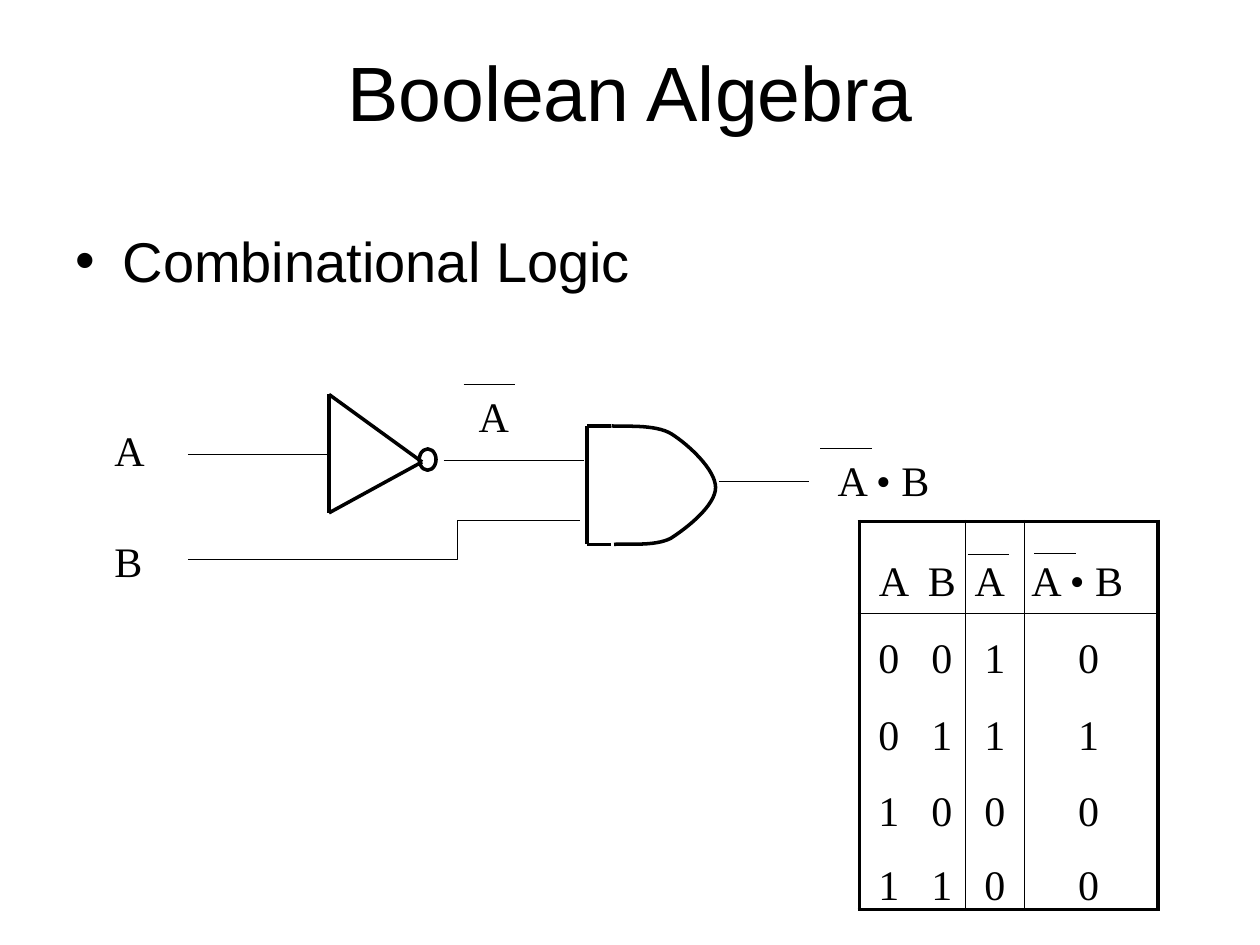
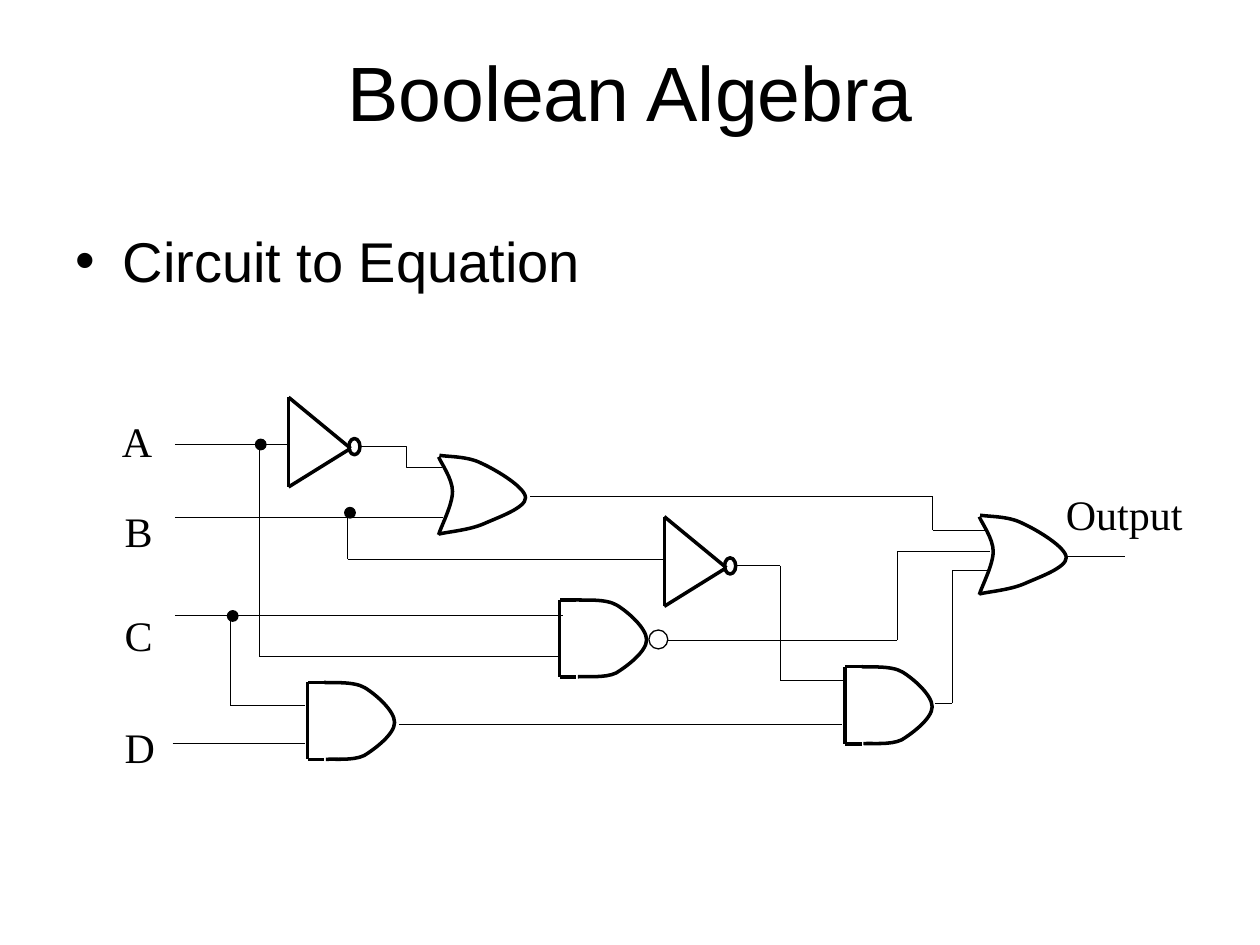
from lxml.etree import SubElement
from pptx import Presentation
from pptx.dml.color import RGBColor
from pptx.enum.shapes import MSO_CONNECTOR, MSO_SHAPE
from pptx.enum.text import MSO_ANCHOR, MSO_AUTO_SIZE, PP_ALIGN
from pptx.oxml.ns import qn
from pptx.util import Pt

BLACK = RGBColor(0, 0, 0)
HEADING_FONT = "Arial"
LABEL_FONT = "Times New Roman"
THIN, THICK = 0.75, 2

# Gate outlines in a unit square: straight edges and chains of cubic curves
GATE_EDGES = {
    "not": [(0, 1), (0, 0), (1, 0.57), (0, 1)],
    "and": [(0.19, 0), (0, 0), (0, 1), (0.19, 1)],
    "or": [],
}
GATE_CURVES = {
    "not": [],
    "and": [[(0.19, 0), (0.27, 0.01), (0.53, -0.02), (0.66, 0.07),
             (0.79, 0.16), (1, 0.37), (1, 0.52),
             (1, 0.67), (0.78, 0.86), (0.65, 0.95),
             (0.52, 1.02), (0.3, 0.99), (0.21, 1)]],
    "or": [[(0, 0.02), (0.03, 0.1), (0.16, 0.3), (0.16, 0.46),
            (0.16, 0.63), (0.03, 0.9), (0, 1.01)],
           [(0.01, 0), (0.1, 0.02), (0.33, 0.01), (0.49, 0.1),
            (0.67, 0.19), (1, 0.41), (1, 0.54),
            (1, 0.67), (0.68, 0.79), (0.52, 0.87),
            (0.35, 0.95), (0.12, 0.97), (0, 1)]],
}

# Each circuit in points: gates (kind, left, top, width, height),
# wires and one bent wire (corner points), circles (left, top, size, filled),
# labels (text, left, top, width)
CIRCUITS = [
    {
        "topic": "Combinational Logic",
        "gates": [("not", 188, 225.4, 53.2, 67.7),
                  ("and", 335.5, 243.4, 73.4, 67.7)],
        "bent_wire": [(107.3, 319.6), (261.4, 319.6),
                      (261.4, 297.4), (331.2, 297.4)],
        "wires": [
            [(107.3, 259.8), (187.2, 259.8)],
            [(253.5, 263.3), (334, 263.3)],
            [(411, 275), (462.2, 275)],
            # Overlines of the negated A
            [(265, 219.6), (294.5, 219.6)],
            [(468.7, 256.3), (498.2, 256.3)],
            [(553, 316.8), (576.7, 316.8)],
            [(591, 316.2), (615, 316.2)],
        ],
        "circles": [],
        "labels": [("A", 58.3, 239, 45), ("B", 58.3, 302.4, 45),
                   ("A", 266.4, 219.6, 58), ("A • B", 471.6, 256.3, 92)],
    },
    {
        "topic": "Circuit to Equation",
        "gates": [("not", 164.9, 227, 35.5, 51.3),
                  ("not", 379.6, 295.2, 35.5, 51.3),
                  ("or", 250.6, 260.2, 49.7, 45),
                  ("or", 559.6, 294.4, 49.7, 45),
                  ("and", 175.8, 390, 49.7, 44),
                  ("and", 319.8, 342.8, 49.7, 44),
                  ("and", 483, 381, 49.7, 44)],
        "bent_wire": [(206, 255), (232.4, 255), (232.4, 267), (252.7, 267)],
        "wires": [
            # Inputs A to D
            [(100, 254), (164.2, 254)],
            [(100, 295.8), (253.4, 295.8)],
            [(100, 351.8), (321.8, 351.8)],
            [(98.7, 424.8), (174.2, 424.8)],
            # Branches from A, B and C
            [(148.2, 254), (148.2, 375.2), (319.7, 375.2)],
            [(198.6, 295.8), (198.6, 319.6), (380, 319.6)],
            [(131.9, 351.8), (131.9, 403.2), (174.2, 403.2)],
            # Between the gates
            [(303, 283.7), (533, 283.7), (533, 303), (563.8, 303)],
            [(421.2, 323.2), (446, 323.2), (446, 389), (482, 389)],
            [(228, 414), (481, 414)],
            [(381, 366), (512.8, 366), (512.8, 315.3), (566, 315.3)],
            [(534.2, 402), (544.2, 402), (544.2, 326.2), (565.2, 326.2)],
            # Output
            [(609.8, 318), (643, 318)],
        ],
        "circles": [(197, 290, 6, True), (130, 349, 6, True),
                    (146, 251, 6, True), (370.8, 360, 10.8, False)],
        "labels": [("A", 62.6, 234, 45), ("B", 64.2, 285.1, 45),
                   ("C", 64.2, 345, 45), ("D", 64.2, 409, 45),
                   ("Output", 602, 275.8, 104)],
    },
]

TRUTH_TABLE = [["A", "B", "A", "A • B"],
               ["0", "0", "1", "0"],
               ["0", "1", "1", "1"],
               ["1", "0", "0", "0"],
               ["1", "1", "0", "0"]]
COLUMN_WIDTHS = [33.8, 26.9, 33.8, 76.3]
ROW_HEIGHTS = [52.5, 39.5, 43.8, 43.8, 42.4]
# Left and right cell margins that set the text off centre
HEADER_MARGINS = [(6, 0), (0, 0), (0, 6), (0, 16)]
VALUE_MARGINS = [(0, 0), (0, 0), (0, 0), (0, 3)]


def style_line(shape, width):
    shape.line.color.rgb = BLACK
    shape.line.width = Pt(width)
    if hasattr(shape, "shadow"):
        shape.shadow.inherit = False
    else:
        SubElement(shape._element.spPr, qn("a:effectLst"))


def add_run(paragraph, text, font_name, size):
    run = paragraph.add_run()
    run.text = text
    run.font.name = font_name
    run.font.size = Pt(size)
    run.font.color.rgb = BLACK


presentation = Presentation()
presentation.slide_width = Pt(720)
presentation.slide_height = Pt(540)
title_only = presentation.slide_layouts[5]

for circuit in CIRCUITS:
    slide = presentation.slides.add_slide(title_only)
    shapes = slide.shapes

    # Title
    title = shapes.title
    title.left, title.top, title.width, title.height = Pt(36), Pt(21.6), Pt(648), Pt(74)
    title.text_frame.vertical_anchor = MSO_ANCHOR.MIDDLE
    title.text_frame.margin_bottom = Pt(17)
    paragraph = title.text_frame.paragraphs[0]
    paragraph.alignment = PP_ALIGN.CENTER
    add_run(paragraph, "Boolean Algebra", HEADING_FONT, 44)

    # Bulleted topic
    topic = shapes.add_textbox(Pt(36), Pt(126), Pt(648), Pt(356.4))
    topic.text_frame.word_wrap = True
    paragraph = topic.text_frame.paragraphs[0]
    properties = paragraph._p.get_or_add_pPr()
    properties.set("marL", str(Pt(27)))
    properties.set("indent", str(Pt(-27)))
    SubElement(properties, qn("a:buFont"), typeface=HEADING_FONT)
    SubElement(properties, qn("a:buChar"), char="•")
    add_run(paragraph, circuit["topic"], HEADING_FONT, 32)

    # Outlines are collected as (points, width, curved), lines as (corners, width)
    outlines = [(circuit["bent_wire"], THIN, False)]
    lines = [(corners, THIN) for corners in circuit["wires"]]
    circles = [(left, top, size, size, THIN, filled)
               for left, top, size, filled in circuit["circles"]]
    for kind, left, top, width, height in circuit["gates"]:
        lines.append(([(left + x * width, top + y * height)
                       for x, y in GATE_EDGES[kind]], THICK))
        for chain in GATE_CURVES[kind]:
            outlines.append(([(left + x * width, top + y * height)
                              for x, y in chain], THICK, True))
        if kind == "not":
            circles.append((left + 0.97 * width, top + 0.46 * height,
                            0.18 * width, 0.18 * height, THICK, False))

    # Curved gate sides and the bent wire
    for points, width, curved in outlines:
        points = [(Pt(x), Pt(y)) for x, y in points]
        builder = shapes.build_freeform(*points[0], scale=1.0)
        builder.add_line_segments(points[1:], close=False)
        outline = builder.convert_to_shape()
        outline.fill.background()
        style_line(outline, width)
        if curved:
            drawing = outline._element.find(".//" + qn("a:path"))
            segments = drawing.findall(qn("a:lnTo"))
            for first in range(0, len(segments), 3):
                cubic = SubElement(drawing, qn("a:cubicBezTo"))
                for segment in segments[first:first + 3]:
                    cubic.append(segment[0])
                    drawing.remove(segment)

    # Straight gate sides and wires
    for corners, width in lines:
        for (x1, y1), (x2, y2) in zip(corners, corners[1:]):
            line = shapes.add_connector(
                MSO_CONNECTOR.STRAIGHT, Pt(x1), Pt(y1), Pt(x2), Pt(y2))
            style_line(line, width)

    # Inversion circles and junction dots
    for left, top, width, height, line_width, filled in circles:
        circle = shapes.add_shape(
            MSO_SHAPE.OVAL, Pt(left), Pt(top), Pt(width), Pt(height))
        if filled:
            circle.fill.solid()
            circle.fill.fore_color.rgb = BLACK
        else:
            circle.fill.background()
        style_line(circle, line_width)

    # Signal labels
    for text, left, top, width in circuit["labels"]:
        label = shapes.add_textbox(Pt(left), Pt(top), Pt(width), Pt(36))
        label.text_frame.word_wrap = True
        label.text_frame.auto_size = MSO_AUTO_SIZE.SHAPE_TO_FIT_TEXT
        add_run(label.text_frame.paragraphs[0], text, LABEL_FONT, 24)

# Truth table on the first slide
table = presentation.slides[0].shapes.add_table(
    len(ROW_HEIGHTS), len(COLUMN_WIDTHS), Pt(491), Pt(298),
    Pt(sum(COLUMN_WIDTHS)), Pt(sum(ROW_HEIGHTS))).table
table.first_row = False
table.horz_banding = False
for column, width in zip(table.columns, COLUMN_WIDTHS):
    column.width = Pt(width)
for row, height in zip(table.rows, ROW_HEIGHTS):
    row.height = Pt(height)

# Border widths by edge number, counted from the left and from the top
column_edges = [THICK, 0, THIN, THIN, THICK]
row_edges = [THICK, THIN, 0, 0, 0, THICK]
for row_number, values in enumerate(TRUTH_TABLE):
    margins = VALUE_MARGINS if row_number else HEADER_MARGINS
    for column_number, value in enumerate(values):
        cell = table.cell(row_number, column_number)
        left, right = margins[column_number]
        cell.margin_left, cell.margin_right = Pt(left), Pt(right)
        cell.margin_top = 0
        cell.margin_bottom = 0 if row_number else Pt(4.5)
        cell.vertical_anchor = MSO_ANCHOR.BOTTOM
        paragraph = cell.text_frame.paragraphs[0]
        paragraph.alignment = PP_ALIGN.CENTER
        add_run(paragraph, value, LABEL_FONT, 24)
        borders = {"a:lnL": column_edges[column_number],
                   "a:lnR": column_edges[column_number + 1],
                   "a:lnT": row_edges[row_number],
                   "a:lnB": row_edges[row_number + 1]}
        for tag, width in borders.items():
            border = SubElement(cell._tc.get_or_add_tcPr(), qn(tag), w=str(Pt(width)))
            if width:
                fill = SubElement(border, qn("a:solidFill"))
                SubElement(fill, qn("a:srgbClr"), val=str(BLACK))
            else:
                SubElement(border, qn("a:noFill"))
        cell.fill.background()

presentation.save("out.pptx")
